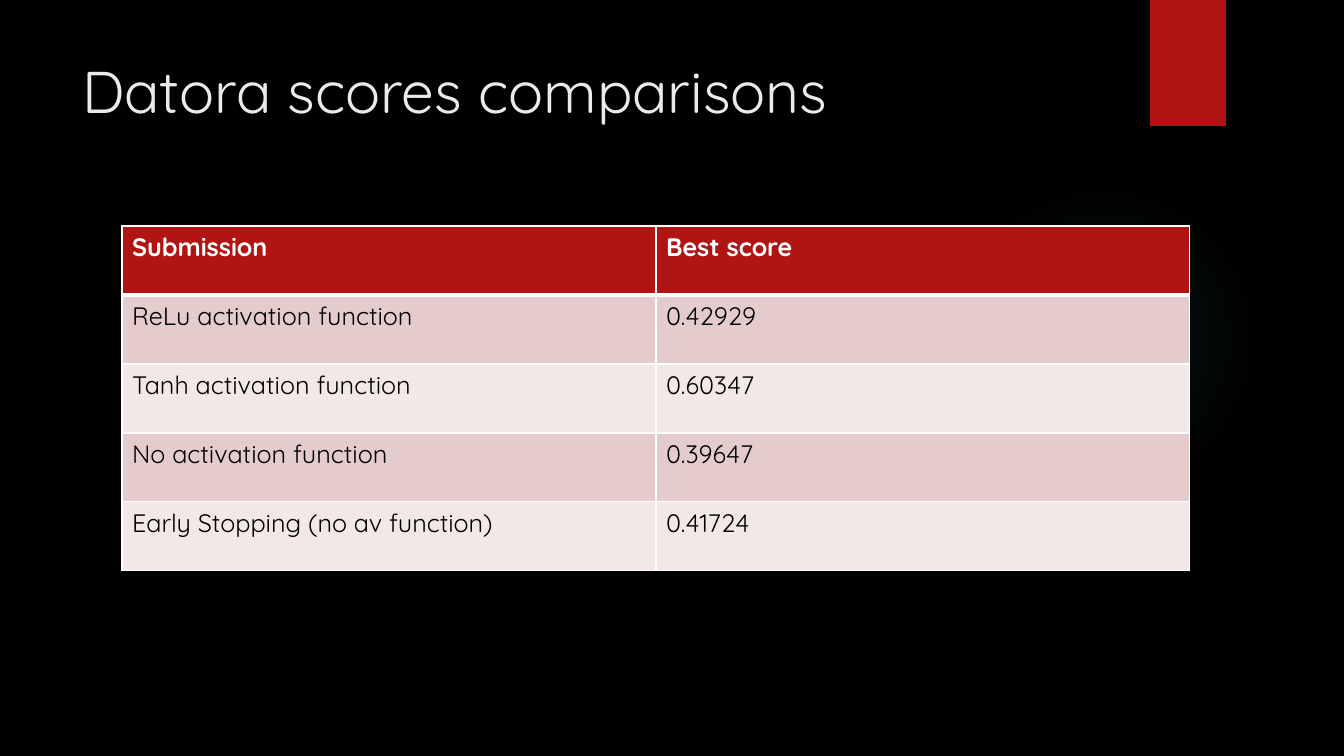
import dataclasses

import pptx
import pptx.dml.color
import pptx.enum.shapes
import pptx.enum.text
import pptx.oxml
import pptx.oxml.ns
import pptx.util

PX = 12192000 / 1344

SCORES = [
    ("Submission", "Best score"),
    ("ReLu activation function", "0.42929"),
    ("Tanh activation function", "0.60347"),
    ("No activation function", "0.39647"),
    ("Early Stopping (no av function)", "0.41724"),
]


@dataclasses.dataclass(frozen=True)
class Theme:
    font: str = "Quicksand"
    title_size: int = 42
    table_size: int = 18
    background: str = "000000"
    title: str = "EBEBEB"
    accent: str = "B01513"
    glow: str = "50B9C1"
    glow_stops: tuple = ((0, 7), (36, 6), (69, 0), (100, 0))
    header_text: str = "FFFFFF"
    body_text: str = "000000"
    border: str = "FFFFFF"
    bands: tuple = ("E4CCCC", "F2E8E7")


def px(length):
    return pptx.util.Emu(round(length * PX))


def rgb(color):
    return pptx.dml.color.RGBColor.from_string(color)


def parse_drawing(tag, attributes, content):
    namespace = pptx.oxml.ns.nsdecls("a")
    return pptx.oxml.parse_xml(f"<a:{tag} {namespace} {attributes}>{content}</a:{tag}>")


def write_text(frame, text, *, font, size, color, bold=False):
    para = frame.paragraphs[0]
    para.alignment = pptx.enum.text.PP_ALIGN.LEFT
    span = para.add_run()
    span.text = text
    span.font.name = font
    span.font.size = pptx.util.Pt(size)
    span.font.bold = bold
    span.font.color.rgb = rgb(color)


class PageBuilder:
    def __init__(self, page, theme):
        self.page = page
        self.theme = theme
        page.background.fill.solid()
        page.background.fill.fore_color.rgb = rgb(theme.background)

    def shape(self, kind, left, top, width, height):
        box = self.page.shapes.add_shape(kind, px(left), px(top), px(width), px(height))
        box.shadow.inherit = False
        box.line.fill.background()
        return box

    def glow(self, left, top, diameter):
        oval = pptx.enum.shapes.MSO_SHAPE.OVAL
        box = self.shape(oval, left, top, diameter, diameter)
        stops = "".join(
            f'<a:gs pos="{position * 1000}"><a:srgbClr val="{self.theme.glow}">'
            f'<a:alpha val="{alpha * 1000}"/></a:srgbClr></a:gs>'
            for position, alpha in self.theme.glow_stops
        )
        center = '<a:fillToRect l="50000" t="50000" r="50000" b="50000"/>'
        gradient = parse_drawing(
            "gradFill",
            'rotWithShape="1"',
            f'<a:gsLst>{stops}</a:gsLst><a:path path="circle">{center}</a:path>',
        )
        box.element.spPr.insert(2, gradient)

    def tag(self, left, top, width, height):
        rectangle = pptx.enum.shapes.MSO_SHAPE.RECTANGLE
        box = self.shape(rectangle, left, top, width, height)
        box.fill.solid()
        box.fill.fore_color.rgb = rgb(self.theme.accent)

    def title(self, text, left, top, width, height):
        box = self.page.shapes.title
        box.left, box.top = px(left), px(top)
        box.width, box.height = px(width), px(height)
        frame = box.text_frame
        frame.word_wrap = True
        frame.auto_size = pptx.enum.text.MSO_AUTO_SIZE.NONE
        frame.vertical_anchor = pptx.enum.text.MSO_ANCHOR.TOP
        write_text(frame, text, font=self.theme.font,
                   size=self.theme.title_size, color=self.theme.title)

    def border(self, cell, side, points):
        color = f'<a:solidFill><a:srgbClr val="{self.theme.border}"/></a:solidFill>'
        line = parse_drawing(f"ln{side}", f'w="{pptx.util.Pt(points)}"', color)
        cell._tc.get_or_add_tcPr().append(line)

    def table(self, rows, left, top, column_width, row_height):
        theme = self.theme
        columns = len(rows[0])
        grid = self.page.shapes.add_table(
            len(rows), columns, px(left), px(top),
            px(column_width * columns), px(row_height * len(rows)),
        ).table
        for row_index, values in enumerate(rows):
            header = row_index == 0
            fill = theme.accent if header else theme.bands[(row_index - 1) % 2]
            widths = {"L": 1, "R": 1, "T": 3 if row_index == 1 else 1, "B": 3 if header else 1}
            for column_index, value in enumerate(values):
                cell = grid.cell(row_index, column_index)
                for side, points in widths.items():
                    self.border(cell, side, points)
                cell.fill.solid()
                cell.fill.fore_color.rgb = rgb(fill)
                write_text(cell.text_frame, value, font=theme.font,
                           size=theme.table_size, bold=header,
                           color=theme.header_text if header else theme.body_text)


def main():
    deck = pptx.Presentation()
    deck.slide_width, deck.slide_height = px(1344), px(756)
    page = deck.slides.add_slide(deck.slide_layouts.get_by_name("Title Only"))
    builder = PageBuilder(page, Theme())
    builder.glow(949, 184, 310)
    builder.tag(1150, 0, 76, 126)
    builder.title("Datora scores comparisons", 72, 50, 1037, 154)
    builder.table(SCORES, 122, 226, 534, 69)
    deck.save("out.pptx")


if __name__ == "__main__":
    main()
